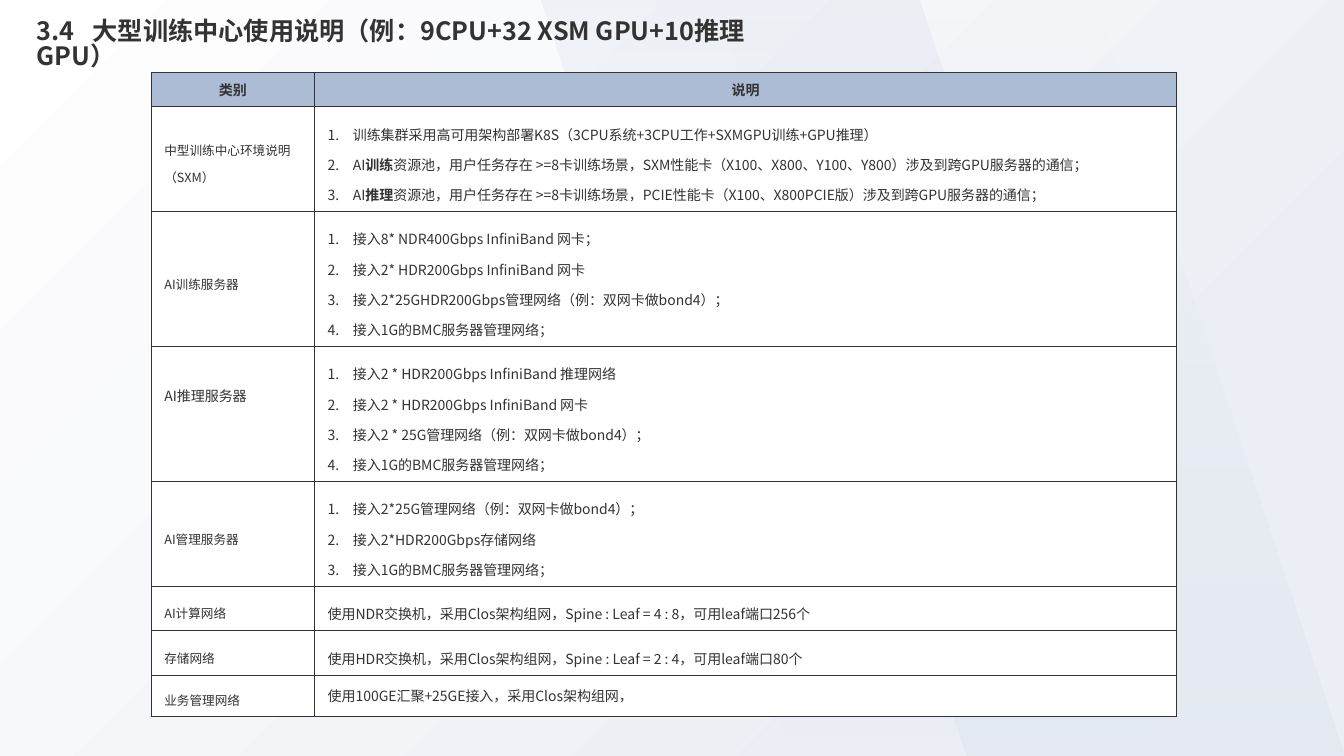
import pptx
import pptx.dml.color
import pptx.enum.shapes
import pptx.enum.text
import pptx.oxml.ns
import pptx.util
from lxml import etree

Inches, Pt = pptx.util.Inches, pptx.util.Pt
qn = pptx.oxml.ns.qn
ALIGN = pptx.enum.text.PP_ALIGN
ANCHOR = pptx.enum.text.MSO_ANCHOR

WIDTH, HEIGHT = 13.33, 7.5
FONT = "Noto Sans CJK SC"
COLORS = {"ink": "333333", "header": "ACBCD4", "white": "FFFFFF",
          "mist": "EBEFF5", "facet": "CBD5E5"}

COLUMN_WIDTHS = [1.62, 8.55]
HEADER = ["类别", "说明"]
HEADER_HEIGHT = 0.33
# Each row: height, category lines, category size, description, numbered.
# A description line is a list of spans; every second span is bold.
ROWS = [
    (1.03, ["中型训练中心环境说明", "（SXM）"], 9, [
        ["训练集群采用高可用架构部署K8S（3CPU系统+3CPU工作+SXMGPU训练+GPU推理）"],
        ["AI", "训练", "资源池，用户任务存在 >=8卡训练场景，SXM性能卡"
         "（X100、X800、Y100、Y800）涉及到跨GPU服务器的通信；"],
        ["AI", "推理", "资源池，用户任务存在 >=8卡训练场景，PCIE性能卡"
         "（X100、X800PCIE版）涉及到跨GPU服务器的通信；"]], True),
    (1.33, ["AI训练服务器"], 9, [
        ["接入8* NDR400Gbps InfiniBand 网卡；"],
        ["接入2* HDR200Gbps InfiniBand 网卡"],
        ["接入2*25GHDR200Gbps管理网络（例：双网卡做bond4）；"],
        ["接入1G的BMC服务器管理网络；"]], True),
    (1.33, ["AI推理服务器"], 10, [
        ["接入2 * HDR200Gbps InfiniBand 推理网络"],
        ["接入2 * HDR200Gbps InfiniBand 网卡"],
        ["接入2 * 25G管理网络（例：双网卡做bond4）；"],
        ["接入1G的BMC服务器管理网络；"]], True),
    (1.03, ["AI管理服务器"], 9, [
        ["接入2*25G管理网络（例：双网卡做bond4）；"],
        ["接入2*HDR200Gbps存储网络"],
        ["接入1G的BMC服务器管理网络；"]], True),
    (0.43, ["AI计算网络"], 9,
     [["使用NDR交换机，采用Clos架构组网，Spine : Leaf = 4 : 8，可用leaf端口256个"]], False),
    (0.44, ["存储网络"], 9,
     [["使用HDR交换机，采用Clos架构组网，Spine : Leaf = 2 : 4，可用leaf端口80个"]], False),
    (0.39, ["业务管理网络"], 9,
     [["使用100GE汇聚+25GE接入，采用Clos架构组网，"]], False),
]


def rgb(name):
    return pptx.dml.color.RGBColor.from_string(COLORS[name])


def add_span(para, text, size, bold=False):
    span = para.add_run()
    span.text = text
    span.font.size, span.font.bold, span.font.name = Pt(size), bold, FONT
    span.font.color.rgb = rgb("ink")
    latin = span.font._element.find(qn("a:latin"))
    east_asian = etree.Element(qn("a:ea"), typeface=FONT)
    latin.addnext(east_asian)


def paint_gradient(shape, names, angle, alphas=(100, 100), end=1):
    """Two-stop gradient; the angle runs counter-clockwise."""
    shape.shadow.inherit = False
    shape.line.fill.background()
    shape.fill.gradient()
    shape.fill.gradient_angle = angle
    for stop, name, position in zip(shape.fill.gradient_stops, names, (0, end)):
        stop.color.rgb = rgb(name)
        stop.position = position
    gradient = shape.element.spPr.find(qn("a:gradFill"))
    for color, alpha in zip(gradient.iter(qn("a:srgbClr")), alphas):
        if alpha < 100:
            etree.SubElement(color, qn("a:alpha"), val=str(alpha * 1000))


def add_facet(page, left, angle):
    """Slanted translucent band, clipped at the slide's right edge."""
    outline = [(0, 0), (3.76, 0), (6.24, HEIGHT), (2.48, HEIGHT)]
    points = [(Inches(min(left + x, WIDTH)), Inches(y)) for x, y in outline]
    builder = page.shapes.build_freeform(*points[0])
    builder.add_line_segments(points[1:], close=True)
    paint_gradient(builder.convert_to_shape(), ["facet", "facet"], angle, (20, 0))


def add_backdrop(page):
    base = page.shapes.add_shape(pptx.enum.shapes.MSO_SHAPE.RECTANGLE, 0, 0,
                                 Inches(WIDTH), Inches(HEIGHT))
    paint_gradient(base, ["white", "mist"], 315, end=0.79)
    add_facet(page, 5.36, 270)
    add_facet(page, 7.1, 90)


def fill_title(page, left, top, width, height):
    title = page.shapes.title
    title.element.getparent().append(title.element)  # in front of the backdrop
    title.left, title.top = Inches(left), Inches(top)
    title.width, title.height = Inches(width), Inches(height)
    frame = title.text_frame
    frame.word_wrap = True
    frame.auto_size = pptx.enum.text.MSO_AUTO_SIZE.NONE
    frame.vertical_anchor = ANCHOR.TOP
    para = frame.paragraphs[0]
    para.alignment, para.line_spacing = ALIGN.LEFT, 0.82
    tabs = etree.SubElement(para._p.get_or_add_pPr(), qn("a:tabLst"))
    etree.SubElement(tabs, qn("a:tab"), pos=str(Inches(0.56)), algn="l")
    add_span(para, "3.4\t大型训练中心使用说明（例：9CPU+32 XSM GPU+10推理GPU）", 18, True)


def format_cell(cell, fill):
    cell.vertical_anchor = ANCHOR.MIDDLE
    cell.margin_left = cell.margin_right = Inches(0.13)
    cell.margin_top = cell.margin_bottom = Inches(0.07)
    properties = cell._tc.get_or_add_tcPr()
    for side in ("lnL", "lnR", "lnT", "lnB"):
        line = etree.SubElement(properties, qn("a:" + side), w=str(Pt(1)))
        solid = etree.SubElement(line, qn("a:solidFill"))
        etree.SubElement(solid, qn("a:srgbClr"), val=COLORS["ink"])
    cell.fill.solid()
    cell.fill.fore_color.rgb = rgb(fill)


def write_lines(cell, lines, size, spacing=1.5, numbered=False):
    for index, spans in enumerate(lines):
        frame = cell.text_frame
        para = frame.add_paragraph() if index else frame.paragraphs[0]
        if numbered:
            properties = para._p.get_or_add_pPr()
            properties.set("marL", str(Inches(0.25)))
            properties.set("indent", str(-Inches(0.25)))
            etree.SubElement(properties, qn("a:buAutoNum"), type="arabicPeriod")
        para.line_spacing = spacing
        for order, text in enumerate(spans):
            add_span(para, text, size, order % 2 == 1)


def add_guide_table(page, left, top):
    heights = [HEADER_HEIGHT] + [row[0] for row in ROWS]
    table = page.shapes.add_table(len(heights), len(COLUMN_WIDTHS), Inches(left), Inches(top),
                                  Inches(sum(COLUMN_WIDTHS)), Inches(sum(heights))).table
    table.first_row = table.horz_banding = False
    for column, width in zip(table.columns, COLUMN_WIDTHS):
        column.width = Inches(width)
    for row, height in zip(table.rows, heights):
        row.height = Inches(height)
    for column, text in enumerate(HEADER):
        cell = table.cell(0, column)
        format_cell(cell, "header")
        para = cell.text_frame.paragraphs[0]
        para.alignment = ALIGN.CENTER
        add_span(para, text, 10, True)
    for index, (_, category, size, description, numbered) in enumerate(ROWS, 1):
        label, detail = table.cell(index, 0), table.cell(index, 1)
        format_cell(label, "white")
        format_cell(detail, "white")
        write_lines(label, [[line] for line in category], size)
        last = index == len(ROWS)
        write_lines(detail, description, 10, 1.0 if last else 1.5, numbered)
    table.cell(3, 0).margin_bottom = Inches(0.55)  # inference label sits higher


def main():
    deck = pptx.Presentation()
    deck.slide_width, deck.slide_height = Inches(WIDTH), Inches(HEIGHT)
    page = deck.slides.add_slide(deck.slide_layouts[5])
    add_backdrop(page)
    fill_title(page, 0.26, 0.16, 7.99, 0.4)
    add_guide_table(page, 1.5, 0.72)
    deck.save("out.pptx")


if __name__ == "__main__":
    main()
